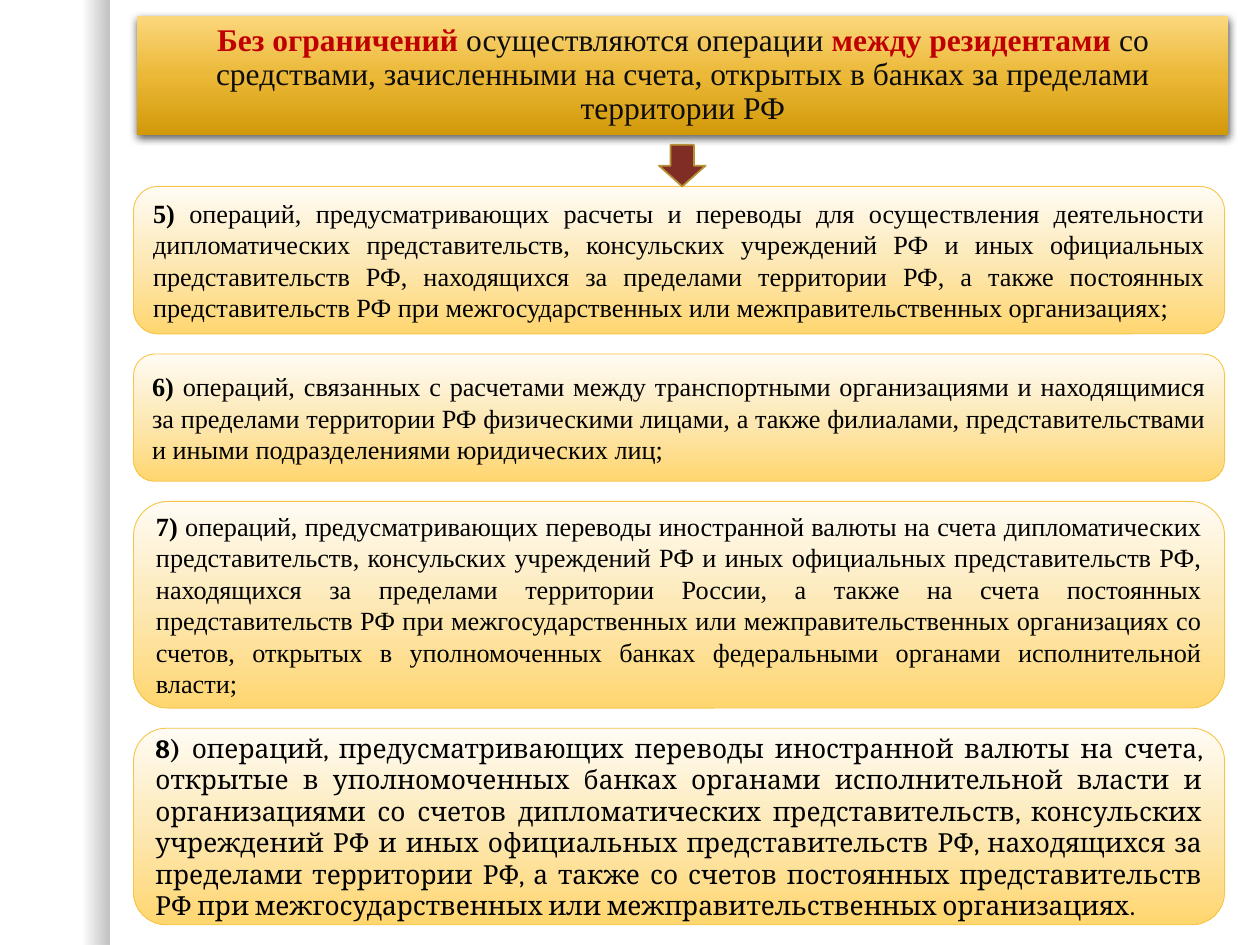
from lxml import etree
from pptx import Presentation
from pptx.dml.color import RGBColor
from pptx.enum.shapes import MSO_SHAPE
from pptx.enum.text import MSO_ANCHOR, MSO_AUTO_SIZE, PP_ALIGN
from pptx.oxml.ns import qn
from pptx.util import Inches, Pt

RECTANGLE = MSO_SHAPE.RECTANGLE
ROUNDED = MSO_SHAPE.ROUNDED_RECTANGLE
DOWN_ARROW = MSO_SHAPE.DOWN_ARROW
MIDDLE = MSO_ANCHOR.MIDDLE
CENTER = PP_ALIGN.CENTER
JUSTIFY = PP_ALIGN.JUSTIFY
NO_AUTOFIT = MSO_AUTO_SIZE.NONE

THEME = {
    "serif": "Times New Roman",
    "accent_serif": "Cambria",
    "heading_size": 18,
    "rule_size": 15,
    "heading_text": "0D0D0D",
    "emphasis": "C00000",
    "rule_text": "000000",
    "rule_border": "F7C547",
    "arrow": "802D26",
    "arrow_border": "B79235",
    "shadow": "000000",
    "heading_fill": [(0, "FBD77C", 100), (50, "EBB837", 100), (100, "D29909", 100)],
    "rule_fill": [(0, "FFFCF5", 100), (50, "FDE9B7", 100), (100, "FFD66F", 100)],
    "edge_fill": [(75, "000000", 0), (100, "000000", 25)],
}


def fill_gradient(shape, stops, angle):
    shape.fill.gradient()
    gradient = shape.fill._xPr.find(qn("a:gradFill"))
    gradient.find(qn("a:lin")).set("ang", str(angle * 60000))
    stop_list = gradient.find(qn("a:gsLst"))
    for old_stop in list(stop_list):
        stop_list.remove(old_stop)
    for position, color, opacity in stops:
        stop = etree.SubElement(stop_list, qn("a:gs"), pos=str(position * 1000))
        tint = etree.SubElement(stop, qn("a:srgbClr"), val=color)
        etree.SubElement(tint, qn("a:alpha"), val=str(opacity * 1000))


def add_words(paragraph, words, font, size, color, bold):
    run = paragraph.add_run()
    run.text = words
    run.font.name = font
    run.font.size = Pt(size)
    run.font.bold = bold
    run.font.color.rgb = RGBColor.from_string(color)


prs = Presentation()
prs.slide_width = Inches(10)
prs.slide_height = Inches(7.5)
slide = prs.slides.add_slide(prs.slide_layouts[5])

edge = slide.shapes.add_shape(RECTANGLE, 0, 0, Inches(0.87), Inches(7.5))
edge.shadow.inherit = False
edge.line.fill.background()
fill_gradient(edge, THEME["edge_fill"], 0)

heading = slide.shapes.title
heading.left, heading.top = Inches(1.09), Inches(0.13)
heading.width, heading.height = Inches(8.66), Inches(0.94)
fill_gradient(heading, THEME["heading_fill"], 90)
heading.line.fill.background()
heading.shadow.inherit = False
effects = heading._element.spPr.find(qn("a:effectLst"))
shadow = etree.SubElement(
    effects, qn("a:outerShdw"), blurRad=str(Pt(4.5)), dist=str(Pt(1.5)),
    dir=str(90 * 60000), rotWithShape="0",
)
shadow_color = etree.SubElement(shadow, qn("a:srgbClr"), val=THEME["shadow"])
etree.SubElement(shadow_color, qn("a:alpha"), val="63000")

heading.text_frame.auto_size = NO_AUTOFIT
heading.text_frame.word_wrap = True
heading.text_frame.vertical_anchor = MIDDLE
statement = heading.text_frame.paragraphs[0]
statement.alignment = CENTER
statement.line_spacing = 0.9
for words, emphasized in [
    ("Без ограничений ", True),
    ("осуществляются операции ", False),
    ("между резидентами ", True),
    ("со средствами, зачисленными на счета, открытых в банках за пределами территории РФ", False),
]:
    color = THEME["emphasis"] if emphasized else THEME["heading_text"]
    add_words(statement, words, THEME["serif"], THEME["heading_size"], color, emphasized)

rules = [
    (1.17, THEME["serif"],
     "операций, предусматривающих расчеты и переводы для осуществления деятельности "
     "дипломатических представительств, консульских учреждений РФ и иных официальных "
     "представительств РФ, находящихся за пределами территории РФ, а также постоянных "
     "представительств РФ при межгосударственных или межправительственных организациях;"),
    (1.01, THEME["serif"],
     "операций, связанных с расчетами между транспортными организациями и находящимися "
     "за пределами территории РФ физическими лицами, а также филиалами, "
     "представительствами и иными подразделениями юридических лиц;"),
    (1.64, THEME["serif"],
     "операций, предусматривающих переводы иностранной валюты на счета дипломатических "
     "представительств, консульских учреждений РФ и иных официальных представительств РФ, "
     "находящихся за пределами территории России, а также на счета постоянных "
     "представительств РФ при межгосударственных или межправительственных организациях со "
     "счетов, открытых в уполномоченных банках федеральными органами исполнительной власти;"),
    (1.56, THEME["accent_serif"],
     "операций, предусматривающих переводы иностранной валюты на счета, открытые в "
     "уполномоченных банках органами исполнительной власти и организациями со счетов "
     "дипломатических представительств, консульских учреждений РФ и иных официальных "
     "представительств РФ, находящихся за пределами территории РФ, а также со счетов "
     "постоянных представительств РФ при межгосударственных или межправительственных "
     "организациях."),
]
rule_gap = 0.16
top = 1.48
for number, (height, font, wording) in enumerate(rules, start=5):
    rule = slide.shapes.add_shape(ROUNDED, Inches(1.06), Inches(top), Inches(8.66), Inches(height))
    rule.shadow.inherit = False
    fill_gradient(rule, THEME["rule_fill"], 90)
    rule.line.color.rgb = RGBColor.from_string(THEME["rule_border"])
    rule.line.width = Pt(0.5)
    rule.text_frame.word_wrap = True
    rule.text_frame.vertical_anchor = MIDDLE
    clause = rule.text_frame.paragraphs[0]
    clause.alignment = JUSTIFY
    add_words(clause, f"{number}) ", font, THEME["rule_size"], THEME["rule_text"], True)
    add_words(clause, wording, font, THEME["rule_size"], THEME["rule_text"], False)
    top += height + rule_gap

arrow = slide.shapes.add_shape(DOWN_ARROW, Inches(5.23), Inches(1.15), Inches(0.37), Inches(0.33))
arrow.shadow.inherit = False
arrow.fill.solid()
arrow.fill.fore_color.rgb = RGBColor.from_string(THEME["arrow"])
arrow.line.color.rgb = RGBColor.from_string(THEME["arrow_border"])
arrow.line.width = Pt(1)

prs.save("out.pptx")
